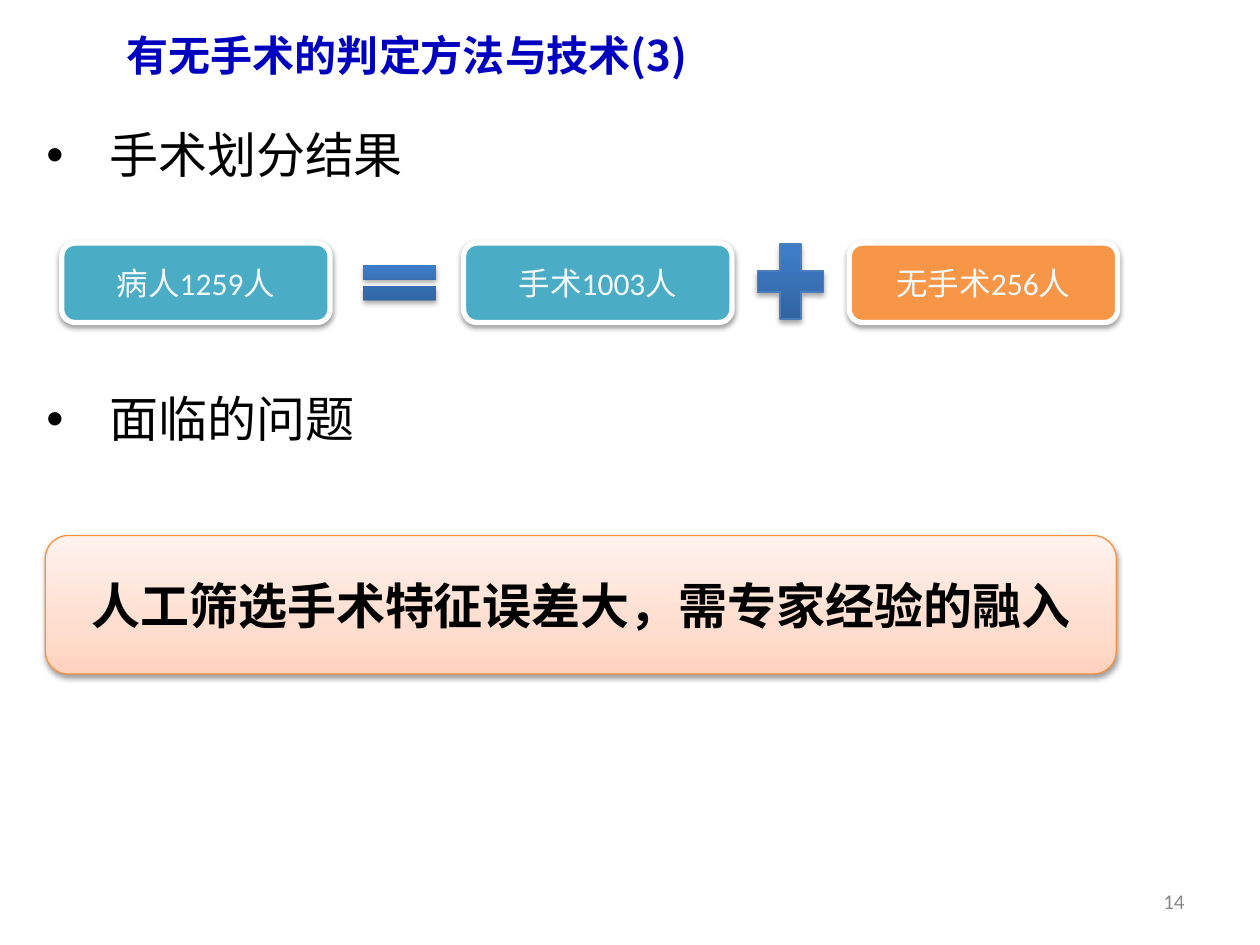
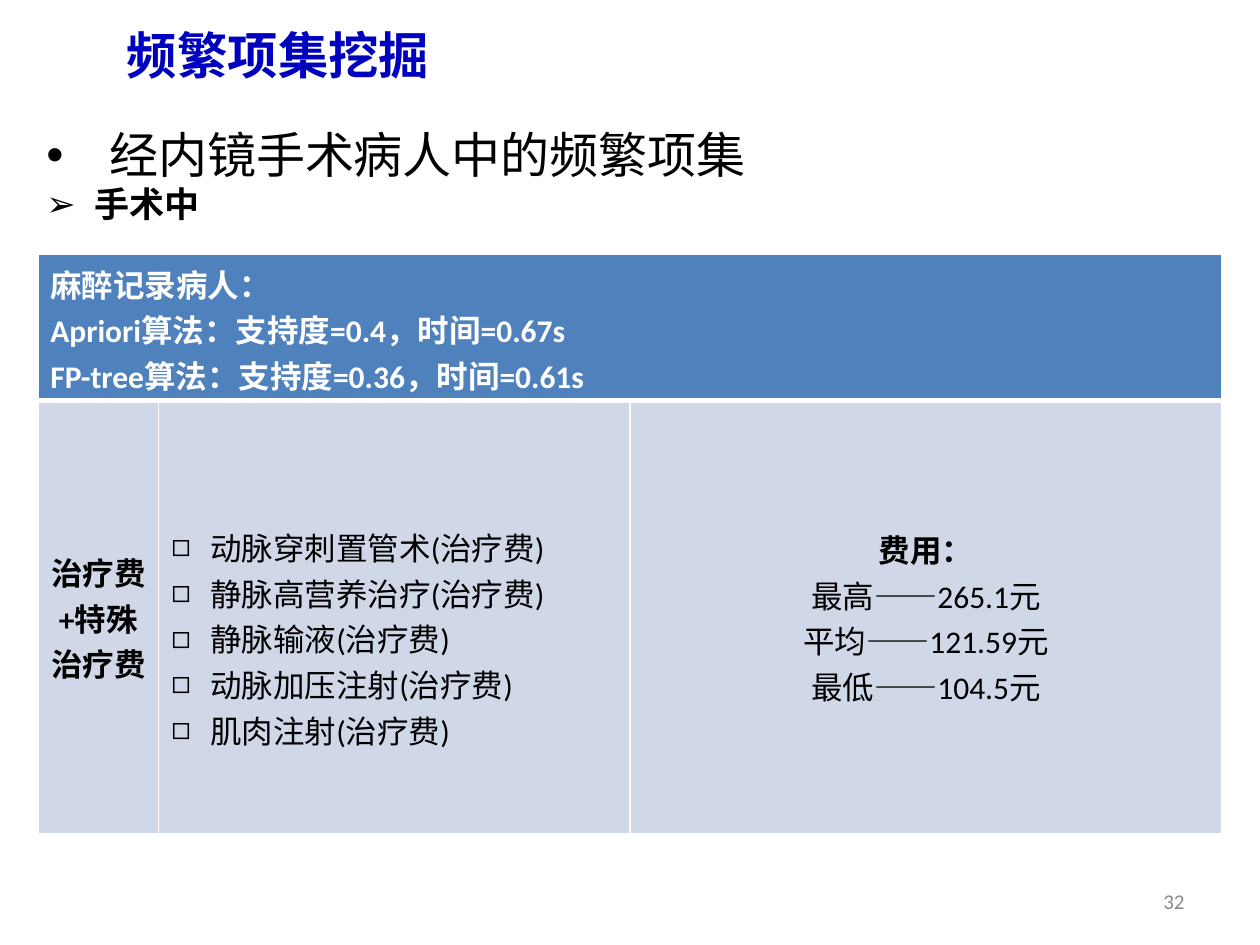
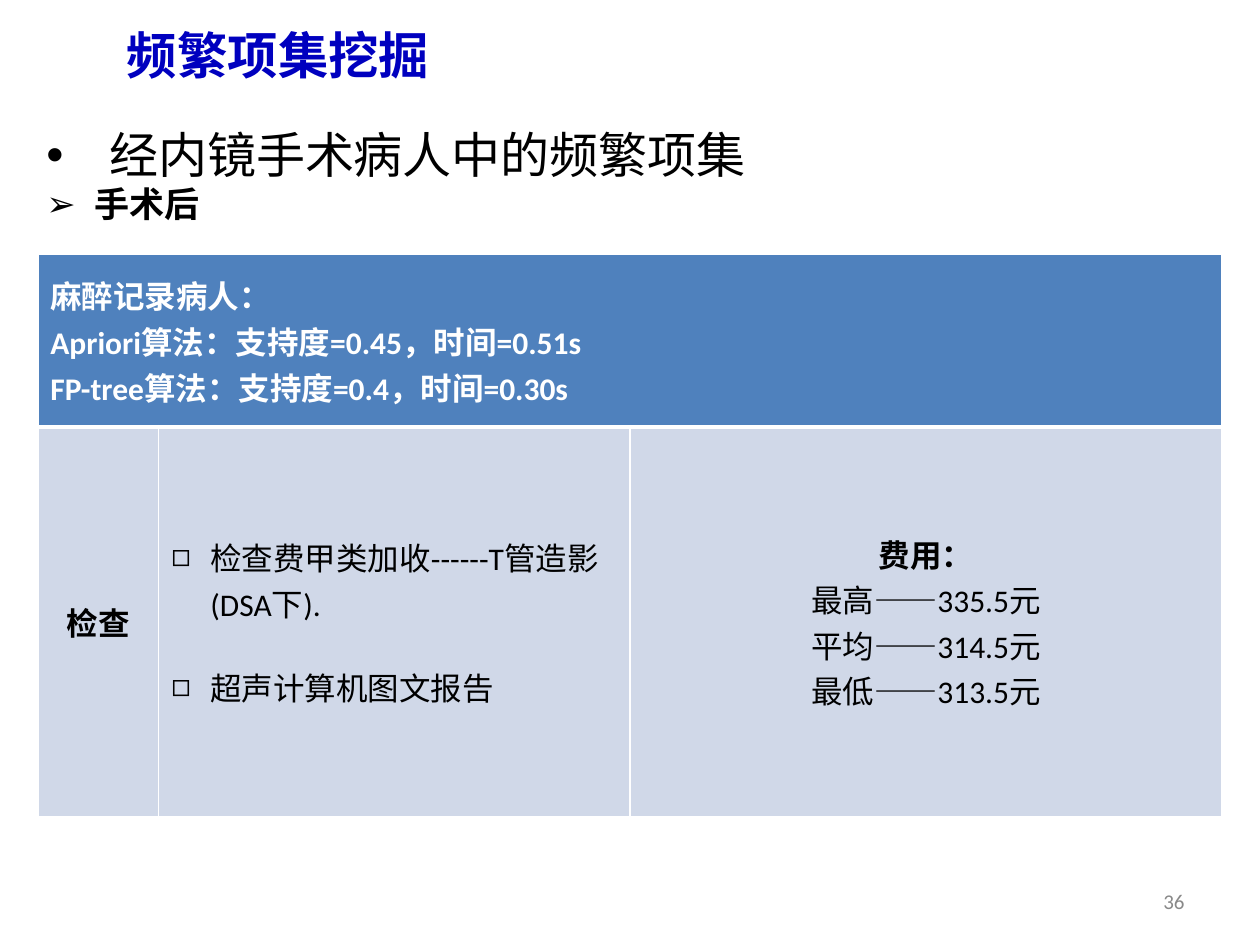
"""Build three slides on surgery classification and frequent itemset mining."""
from dataclasses import dataclass, replace
from typing import Any, NamedTuple, Optional, Sequence, Union

from lxml import etree
from pptx import Presentation, util as u
from pptx.dml.color import RGBColor
from pptx.enum import lang, shapes, text
from pptx.oxml.ns import qn

SLIDE_WIDTH, SLIDE_HEIGHT = u.Inches(10), u.Inches(7.5)
COLUMN, ROW = SLIDE_WIDTH / 100, SLIDE_HEIGHT / 75

BLACK, WHITE, GREY, NAVY = "000000", "FFFFFF", "898989", "0000BF"
TEAL, ORANGE, PALE = "4BACC6", "F79646", "F3F9FB"
HEADER_BLUE, CELL_BLUE = "4F81BD", "D0D8E8"
EAST_ASIAN = "Noto Sans CJK SC"
LEFT, CENTER, RIGHT = text.PP_ALIGN.LEFT, text.PP_ALIGN.CENTER, text.PP_ALIGN.RIGHT
TOP, MIDDLE = text.MSO_ANCHOR.TOP, text.MSO_ANCHOR.MIDDLE
TABLE_COLUMNS = (9.6, 37.4, 47)


class Box(NamedTuple):
    left: float
    top: float
    width: float
    height: float

    def lengths(self) -> tuple[int, int, int, int]:
        return (across(self.left), down(self.top), across(self.width), down(self.height))


class Style(NamedTuple):
    size: float
    font: str = "Calibri"
    color: str = BLACK
    bold: bool = False


class Bullet(NamedTuple):
    character: str
    indent: float


class Line(NamedTuple):
    words: str
    style: Style
    align: Any = LEFT
    bullet: Optional[Bullet] = None
    before: float = 0
    spacing: float = 1


class Gradient(NamedTuple):
    stops: tuple[tuple[int, str], ...]


class Outline(NamedTuple):
    color: str
    width: float


class Shadow(NamedTuple):
    opacity: int
    blur: float
    distance: float


@dataclass(frozen=True)
class Block:
    kind: Any
    box: Box
    fill: Union[str, Gradient]
    shadow: Shadow
    outline: Optional[Outline] = None
    line: Optional[Line] = None


@dataclass(frozen=True)
class ItemsetSlide:
    number: int
    stage: str
    rows: tuple[float, float]
    apriori: str
    fp_tree: str
    category: str
    items: tuple[str, ...]
    costs: tuple[str, str, str]
    item_gap: float = 0
    item_top: float = 0.5


TITLE_BOX = Box(9.1, 0, 90, 8.7)
BODY_BOX = Box(2.7, 9.9, 92.3, 57.1)
NUMBER_BOX = Box(71.7, 69.5, 23.3, 4)
TITLE = Style(28.8, EAST_ASIAN, NAVY, True)
HEADING = Style(28, "Noto Sans CJK JP")
STAGE = Style(20, "Arial", bold=True)
CELL = Style(18)
CELL_BOLD = CELL._replace(bold=True)
DOT, ARROW, SQUARE = Bullet("•", 5), Bullet("➢", 3.8), Bullet("◻", 3.1)

SOFT_SHADOW, SIGN_SHADOW = Shadow(38, 3.1, 1.6), Shadow(35, 3.1, 1.8)
BLUE_GRADIENT = Gradient(((0, "2F5F99"), (80, "3D7CC7"), (100, "3A7CCB")))
PEACH_GRADIENT = Gradient(((0, "FFD2BD"), (35, "FFDED0"), (100, "FFF2ED")))

ITEMSET_SLIDES = (
    ItemsetSlide(
        32, "手术中", (11.6, 34.4), "支持度=0.4，时间=0.67s", "支持度=0.36，时间=0.61s",
        "治疗费+特殊治疗费",
        tuple(f"{name}(治疗费)" for name in
              ("动脉穿刺置管术", "静脉高营养治疗", "静脉输液", "动脉加压注射", "肌肉注射")),
        ("265.1", "121.59", "104.5"), item_top=3.8),
    ItemsetSlide(
        36, "手术后", (13.7, 30.9), "支持度=0.45，时间=0.51s", "支持度=0.4，时间=0.30s",
        "检查", ("检查费甲类加收------T管造影(DSA下).", "超声计算机图文报告"),
        ("335.5", "314.5", "313.5"), item_gap=22),
)


def across(columns: float) -> int:
    return round(columns * COLUMN)


def down(rows: float) -> int:
    return round(rows * ROW)


def rgb(value: str) -> RGBColor:
    return RGBColor.from_string(value)


def add_element(parent: Any, tag: str, **attributes: Any) -> Any:
    return etree.SubElement(parent, qn(tag), {key: str(item) for key, item in attributes.items()})


def add_color(parent: Any, value: str) -> Any:
    return add_element(parent, "a:srgbClr", val=value)


def write_lines(frame: Any, lines: Sequence[Line], anchor: Any = None) -> None:
    frame.word_wrap = True
    if anchor is not None:
        frame.vertical_anchor = anchor
    for index, line in enumerate(lines):
        paragraph = frame.add_paragraph() if index else frame.paragraphs[0]
        paragraph.alignment = line.align
        if line.bullet:
            properties = paragraph._p.get_or_add_pPr()
            indent = across(line.bullet.indent)
            properties.set("marL", str(indent))
            properties.set("indent", str(-indent))
            add_element(properties, "a:buFont", typeface="Arial")
            add_element(properties, "a:buChar", char=line.bullet.character)
        if line.spacing != 1:
            paragraph.line_spacing = line.spacing
        if index and line.before:
            paragraph.space_before = u.Pt(line.before)
        run = paragraph.add_run()
        run.text = line.words
        font = run.font
        font.size, font.bold, font.name = u.Pt(line.style.size), line.style.bold, line.style.font
        font.color.rgb = rgb(line.style.color)
        font.language_id = lang.MSO_LANGUAGE_ID.SIMPLIFIED_CHINESE
        face = line.style.font if "CJK" in line.style.font else EAST_ASIAN
        add_element(run._r.get_or_add_rPr(), "a:ea", typeface=face)


def add_text(slide: Any, box: Box, lines: Sequence[Line], anchor: Any = TOP) -> None:
    write_lines(slide.shapes.add_textbox(*box.lengths()).text_frame, lines, anchor)


def paint(shape: Any, fill: Union[str, Gradient]) -> None:
    if isinstance(fill, str):
        shape.fill.solid()
        shape.fill.fore_color.rgb = rgb(fill)
        return
    shape.fill.gradient()
    shape.fill.gradient_angle = 90
    stops = shape._element.spPr.find(".//" + qn("a:gsLst"))
    for stop in list(stops):
        stops.remove(stop)
    for position, color in fill.stops:
        add_color(add_element(stops, "a:gs", pos=position * 1000), color)


def add_block(slide: Any, block: Block) -> None:
    shape = slide.shapes.add_shape(block.kind, *block.box.lengths())
    paint(shape, block.fill)
    if block.outline:
        shape.line.color.rgb = rgb(block.outline.color)
        shape.line.width = u.Pt(block.outline.width)
    else:
        shape.line.fill.background()
    shape.shadow.inherit = False
    effects = shape._element.spPr.find(qn("a:effectLst"))
    shadow = add_element(
        effects, "a:outerShdw", blurRad=u.Pt(block.shadow.blur),
        dist=u.Pt(block.shadow.distance), dir=90 * 60000, rotWithShape=0)
    add_element(add_color(shadow, BLACK), "a:alpha", val=block.shadow.opacity * 1000)
    if block.line:
        write_lines(shape.text_frame, [block.line], MIDDLE)


def add_borders(cell: Any, top: float, bottom: float) -> None:
    properties = cell._tc.get_or_add_tcPr()
    for index, (side, width) in enumerate(zip("LRTB", (1, 1, top, bottom))):
        border = add_element(properties, f"a:ln{side}", w=u.Pt(width))
        add_color(add_element(border, "a:solidFill"), WHITE)
        properties.insert(index, border)


def start_slide(presentation: Any, title: str, size: float, number: int) -> Any:
    slide = presentation.slides.add_slide(presentation.slide_layouts[6])
    add_text(slide, TITLE_BOX, [Line(title, TITLE._replace(size=size))], MIDDLE)
    add_text(slide, NUMBER_BOX, [Line(str(number), Style(12, color=GREY), RIGHT)], MIDDLE)
    return slide


def add_result_slide(presentation: Any) -> None:
    slide = start_slide(presentation, "有无手术的判定方法与技术(3)", 24, 14)
    heading = Line("手术划分结果", HEADING, bullet=DOT, spacing=0.9)
    add_text(slide, BODY_BOX, [heading, heading._replace(words="面临的问题", before=120.5)])
    rounded = shapes.MSO_SHAPE.ROUNDED_RECTANGLE
    label = Line("", Style(18, color=PALE), CENTER)
    for left, words, color in ((4.9, "病人1259人", TEAL), (36.8, "手术1003人", TEAL),
                               (67.4, "无手术256人", ORANGE)):
        add_block(slide, Block(rounded, Box(left, 19.3, 21.3, 6.3), color, SOFT_SHADOW,
                               Outline(WHITE, 3), label._replace(words=words)))
    equals = Block(shapes.MSO_SHAPE.MATH_EQUAL, Box(27.8, 20.1, 7.9, 4.7),
                   BLUE_GRADIENT, SIGN_SHADOW)
    add_block(slide, equals)
    add_block(slide, replace(equals, kind=shapes.MSO_SHAPE.MATH_PLUS,
                             box=Box(59.2, 18.3, 7.1, 8.1), outline=Outline("4B7EBC", 0.75)))
    problem = Line("人工筛选手术特征误差大，需专家经验的融入", Style(28, "Arial", bold=True), CENTER)
    add_block(slide, Block(rounded, Box(3.6, 42.5, 85, 11), PEACH_GRADIENT, SOFT_SHADOW,
                           Outline("F69240", 0.75), problem))


def add_itemset_table(slide: Any, content: ItemsetSlide) -> None:
    box = Box(3, 20.2, sum(TABLE_COLUMNS), sum(content.rows))
    table = slide.shapes.add_table(2, 3, *box.lengths()).table
    for column, width in zip(table.columns, TABLE_COLUMNS):
        column.width = across(width)
    for row, height in zip(table.rows, content.rows):
        row.height = down(height)
    table.cell(0, 0).merge(table.cell(0, 2))
    header = CELL_BOLD._replace(color=WHITE)
    summary = ("麻醉记录病人：", f"Apriori算法：{content.apriori}", f"FP-tree算法：{content.fp_tree}")
    costs = [Line(f"{name}——{cost}元", CELL, CENTER)
             for name, cost in zip(("最高", "平均", "最低"), content.costs)]
    body = (
        [Line(content.category, CELL_BOLD, CENTER)],
        [Line(item, CELL, bullet=SQUARE, before=content.item_gap) for item in content.items],
        [Line("费用：", CELL_BOLD, CENTER), *costs],
    )
    write_lines(table.cell(0, 0).text_frame, [Line(words, header) for words in summary])
    for index, lines in enumerate(body):
        write_lines(table.cell(1, index).text_frame, lines)
    for row_index, (color, top, bottom) in enumerate(((HEADER_BLUE, 1, 3), (CELL_BLUE, 3, 1))):
        for cell in table.rows[row_index].cells:
            cell.vertical_anchor = MIDDLE
            cell.fill.solid()
            cell.fill.fore_color.rgb = rgb(color)
            add_borders(cell, top, bottom)
    table.cell(1, 1).margin_top = down(content.item_top)


def add_itemset_slide(presentation: Any, content: ItemsetSlide) -> None:
    slide = start_slide(presentation, "频繁项集挖掘", 28.8, content.number)
    add_text(slide, BODY_BOX, [
        Line("经内镜手术病人中的频繁项集", HEADING, bullet=DOT, spacing=0.9),
        Line(content.stage, STAGE, bullet=ARROW, before=2, spacing=0.9),
    ])
    add_itemset_table(slide, content)


def main() -> None:
    presentation = Presentation()
    presentation.slide_width, presentation.slide_height = SLIDE_WIDTH, SLIDE_HEIGHT
    add_result_slide(presentation)
    for content in ITEMSET_SLIDES:
        add_itemset_slide(presentation, content)
    presentation.save("out.pptx")


if __name__ == "__main__":
    main()
